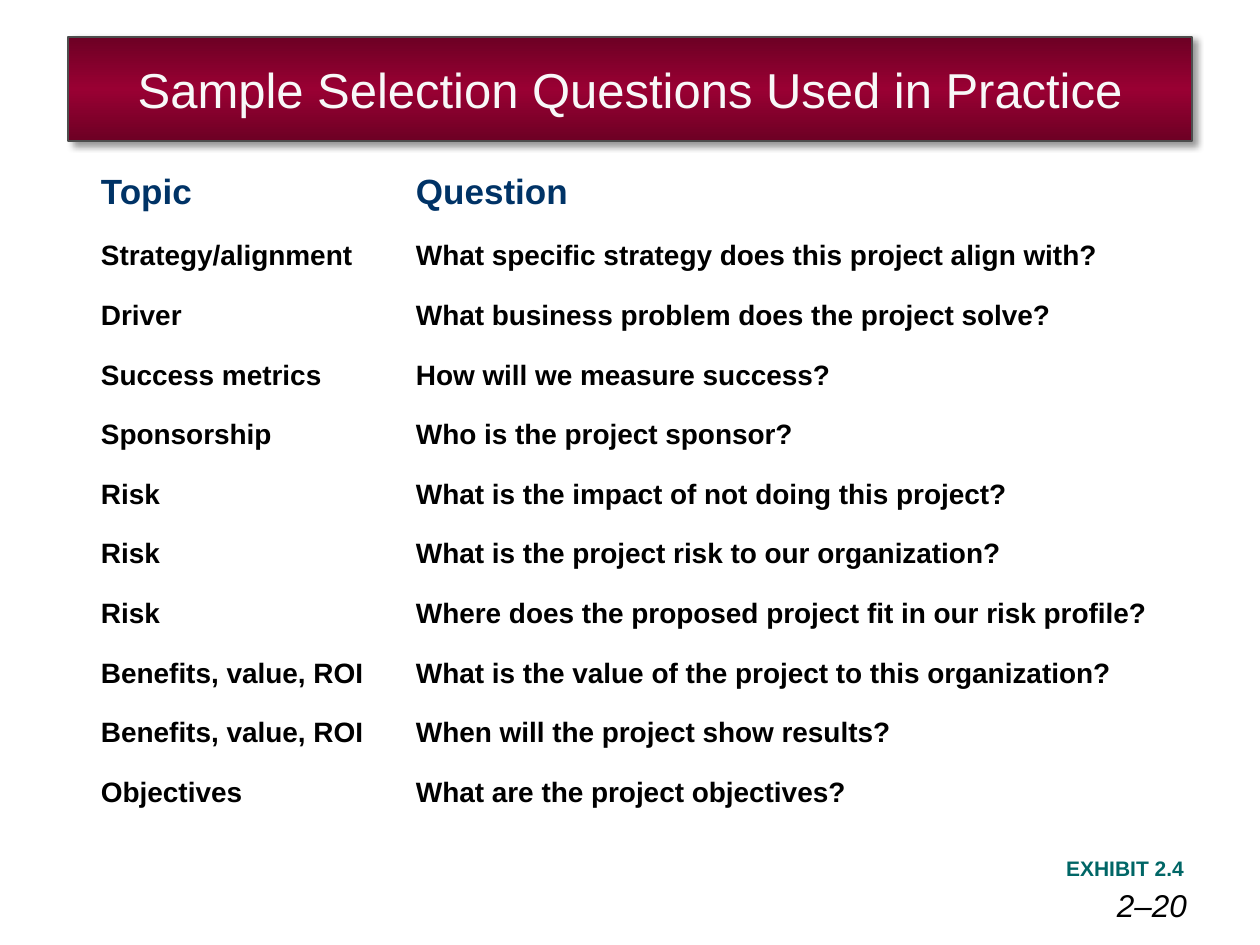
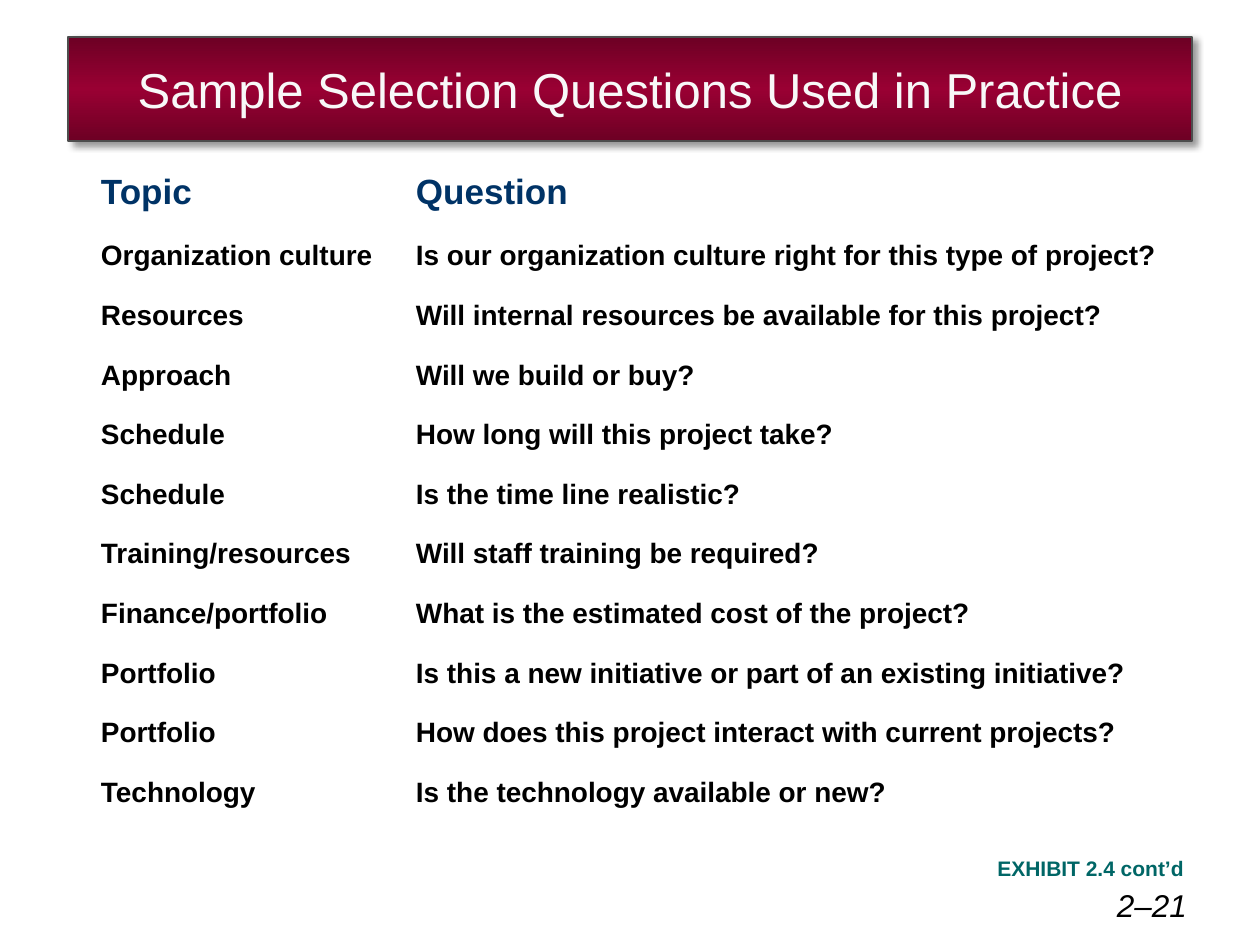
from pptx import Presentation
from pptx.dml.color import RGBColor
from pptx.enum.text import MSO_ANCHOR as Anchor, PP_ALIGN as Align
from pptx.oxml import parse_xml
from pptx.util import Pt

# Content
TITLE = "Sample Selection Questions Used in Practice"
HEAD = ("Topic", "Question")
SLIDES = [
    {"page": "2–20", "note": "EXHIBIT 2.4", "rows": [
        ("Strategy/alignment", "What specific strategy does this project align with?"),
        ("Driver", "What business problem does the project solve?"),
        ("Success metrics", "How will we measure success?"),
        ("Sponsorship", "Who is the project sponsor?"),
        ("Risk", "What is the impact of not doing this project?"),
        ("Risk", "What is the project risk to our organization?"),
        ("Risk", "Where does the proposed project fit in our risk profile?"),
        ("Benefits, value, ROI", "What is the value of the project to this organization?"),
        ("Benefits, value, ROI", "When will the project show results?"),
        ("Objectives", "What are the project objectives?"),
    ]},
    {"page": "2–21", "note": "EXHIBIT 2.4 cont’d", "rows": [
        ("Organization culture", "Is our organization culture right for this type of project?"),
        ("Resources", "Will internal resources be available for this project?"),
        ("Approach", "Will we build or buy?"),
        ("Schedule", "How long will this project take?"),
        ("Schedule", "Is the time line realistic?"),
        ("Training/resources", "Will staff training be required?"),
        ("Finance/portfolio", "What is the estimated cost of the project?"),
        ("Portfolio", "Is this a new initiative or part of an existing initiative?"),
        ("Portfolio", "How does this project interact with current projects?"),
        ("Technology", "Is the technology available or new?"),
    ]},
]

# Shared look, lengths in pixels
COLORS = {"edge": "6D0024", "mid": "990033", "line": "4D4D4D", "title": "F8F8F8",
          "head": "003366", "body": "000000", "note": "006666"}
FONT = "Arial"
SCALE = 914400 // 126
BAND = (68, 37, 1124, 104)
GRID = (88, 157, 1096, 655)
COLS = (315, 781)
HEAD_H = 65
NOTE = (882, 850, 315, 38)
PAGE = (895, 903, 292, 21)
PAD = 13
NO_STYLE = "{2D5ABB26-0587-4C30-8999-92F81FD0307C}"
NS = 'xmlns:a="http://schemas.openxmlformats.org/drawingml/2006/main"'


def px(n):
    return round(n * SCALE)


def place(shape, box):
    shape.left, shape.top, shape.width, shape.height = map(px, box)


def pad(part, x, y):
    part.margin_left = part.margin_right = px(x)
    part.margin_top = part.margin_bottom = px(y)


def write(frame, text, size, color, align=Align.LEFT, bold=False, italic=False):
    para = frame.paragraphs[0]
    para.alignment = align
    run = para.add_run()
    run.text = text
    font = run.font
    font.name, font.size, font.bold, font.italic = FONT, Pt(size), bold, italic
    font.color.rgb = RGBColor.from_string(COLORS[color])


def band(slide):
    # Title placeholder drawn as a shaded band with a soft shadow
    title = slide.shapes.title
    place(title, BAND)
    stops = "".join(f'<a:gs pos="{pos}"><a:srgbClr val="{COLORS[key]}"/></a:gs>'
                    for pos, key in ((0, "edge"), (50000, "mid"), (100000, "edge")))
    props = title._element.spPr
    for xml in (
        f'<a:prstGeom {NS} prst="roundRect"><a:avLst>'
        '<a:gd name="adj" fmla="val 10100"/></a:avLst></a:prstGeom>',
        f'<a:gradFill {NS} rotWithShape="1"><a:gsLst>{stops}</a:gsLst>'
        '<a:lin ang="5400000" scaled="1"/></a:gradFill>',
        f'<a:ln {NS} w="9525"><a:solidFill><a:srgbClr val="{COLORS["line"]}"/>'
        '</a:solidFill></a:ln>',
        f'<a:effectLst {NS}><a:outerShdw blurRad="50800" dist="38100" dir="2700000">'
        '<a:srgbClr val="000000"><a:alpha val="40000"/></a:srgbClr>'
        '</a:outerShdw></a:effectLst>',
    ):
        props.append(parse_xml(xml))
    frame = title.text_frame
    frame.word_wrap = True
    frame.vertical_anchor = Anchor.MIDDLE
    pad(frame, PAD, 19)
    write(frame, TITLE, 28, "title", Align.CENTER)


def grid(slide, rows):
    lines = [HEAD, *rows]
    table = slide.shapes.add_table(len(lines), len(COLS), *map(px, GRID)).table
    table.first_row = table.horz_banding = False
    table._tbl.tblPr[0].text = NO_STYLE
    for col, width in zip(table.columns, COLS):
        col.width = px(width)
    row_h = (GRID[3] - HEAD_H) / len(rows)
    for r, line in enumerate(lines):
        table.rows[r].height = px(row_h if r else HEAD_H)
        size, color = (16, "body") if r else (20, "head")
        for c, text in enumerate(line):
            cell = table.cell(r, c)
            cell.fill.background()
            cell.vertical_anchor = Anchor.BOTTOM
            pad(cell, PAD, PAD)
            write(cell.text_frame, text, size, color, bold=True)


def label(slide, box, text, size, color, inset=(0, 0), anchor=Anchor.BOTTOM, **style):
    frame = slide.shapes.add_textbox(*map(px, box)).text_frame
    frame.word_wrap = True
    frame.vertical_anchor = anchor
    pad(frame, *inset)
    write(frame, text, size, color, Align.RIGHT, **style)


# Build
deck = Presentation()
deck.slide_width, deck.slide_height = px(1260), px(945)
for item in SLIDES:
    slide = deck.slides.add_slide(deck.slide_layouts[5])
    label(slide, PAGE, item["page"], 18, "body", italic=True)
    band(slide)
    label(slide, NOTE, item["note"], 12, "note", (PAD, 6), Anchor.TOP, bold=True)
    grid(slide, item["rows"])
deck.save("out.pptx")
